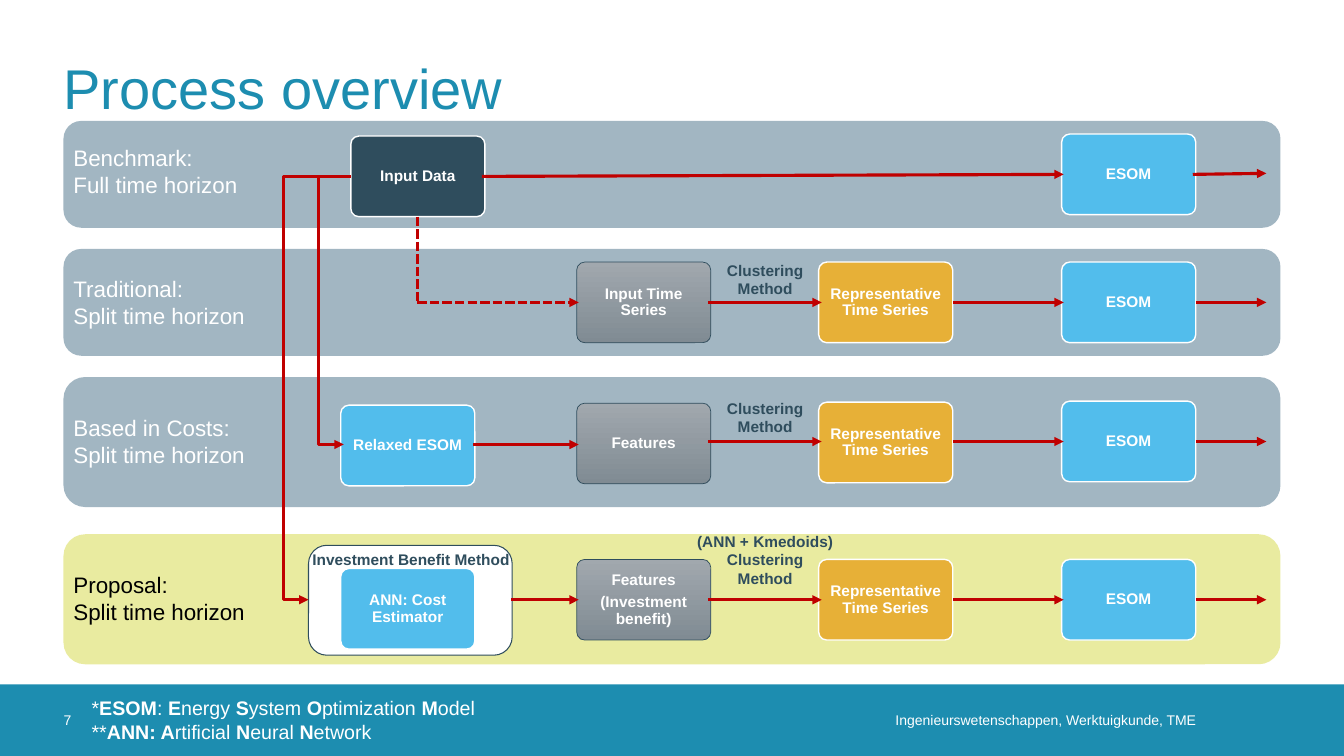
from lxml import etree
from pptx import Presentation
from pptx.dml.color import RGBColor
from pptx.enum.dml import MSO_LINE
from pptx.enum.shapes import MSO_CONNECTOR, MSO_SHAPE
from pptx.enum.text import MSO_ANCHOR, PP_ALIGN
from pptx.oxml.ns import qn
from pptx.util import Inches, Pt

RECTANGLE, ROUNDED = MSO_SHAPE.RECTANGLE, MSO_SHAPE.ROUNDED_RECTANGLE
STRAIGHT, ELBOW = MSO_CONNECTOR.STRAIGHT, MSO_CONNECTOR.ELBOW
TOP, MIDDLE = MSO_ANCHOR.TOP, MSO_ANCHOR.MIDDLE
LEFT, CENTER, RIGHT = PP_ALIGN.LEFT, PP_ALIGN.CENTER, PP_ALIGN.RIGHT
SHORT_DASH = MSO_LINE.SQUARE_DOT

WHITE = RGBColor(0xFF, 0xFF, 0xFF)
BLACK = RGBColor(0x00, 0x00, 0x00)
TEAL = RGBColor(0x1D, 0x8D, 0xB0)
SLATE = RGBColor(0x46, 0x6E, 0x87)
LIME = RGBColor(0xD4, 0xD8, 0x42)
SKY = RGBColor(0x52, 0xBD, 0xEC)
NAVY = RGBColor(0x2F, 0x4D, 0x5D)
AMBER = RGBColor(0xE7, 0xB0, 0x37)
GREY_TOP = RGBColor(0xA1, 0xA8, 0xAE)
GREY_BOTTOM = RGBColor(0x80, 0x8B, 0x93)
RED = RGBColor(0xC0, 0x00, 0x00)


def write(shape, lines, size, color, bold=False, align=LEFT, insets=(0.1, 0.05, 0.1, 0.05),
          wrap=True, anchor=TOP, spacing=None):
    """Fill a shape with paragraphs; text between bars is bold."""
    frame = shape.text_frame
    left, top, right, bottom = map(Inches, insets)
    frame_format = {"word_wrap": wrap, "vertical_anchor": anchor, "margin_left": left,
                    "margin_top": top, "margin_right": right, "margin_bottom": bottom}
    for name, value in frame_format.items():
        setattr(frame, name, value)
    for index, line in enumerate(lines):
        para = frame.add_paragraph() if index else frame.paragraphs[0]
        for name, value in {"alignment": align, **(spacing or {})}.items():
            setattr(para, name, value)
        for part, words in enumerate(line.split("|")):
            span = para.add_run()
            span.text = words
            span.font.color.rgb = color
            font_format = {"name": "Arial", "size": Pt(size), "bold": bold or part % 2 == 1}
            for name, value in font_format.items():
                setattr(span.font, name, value)


def connect(start, end, bend_x=None, dash=None, arrow=True):
    """Draw a red connector, bent at bend_x when that is given."""
    kind = STRAIGHT if bend_x is None else ELBOW
    link = page.shapes.add_connector(kind, *map(Inches, (*start, *end)))
    link.line.color.rgb = RED
    link.line.width = Pt(2.25)
    if dash:
        link.line.dash_style = dash
    properties = link._element.spPr
    if bend_x is not None:
        ratio = (bend_x - start[0]) / (end[0] - start[0])
        guides = properties.find(qn("a:prstGeom")).get_or_add_avLst()
        etree.SubElement(guides, qn("a:gd"), name="adj1", fmla=f"val {round(ratio * 100000)}")
    if arrow:
        etree.SubElement(link.line._get_or_add_ln(), qn("a:tailEnd"), type="triangle")
    etree.SubElement(properties, qn("a:effectLst"))


deck = Presentation()
deck.slide_width, deck.slide_height = Inches(13.33), Inches(7.5)
page = deck.slides.add_slide(deck.slide_layouts[6])

# Footer bar, row bands and frame of the benefit method
panels = [
    (RECTANGLE, (0, 6.79, 13.33, 0.71), TEAL, None),
    (ROUNDED, (0.63, 1.2, 12.07, 1.06), SLATE, 50),
    (ROUNDED, (0.63, 2.47, 12.07, 1.06), SLATE, 50),
    (ROUNDED, (0.63, 3.74, 12.07, 1.29), SLATE, 50),
    (ROUNDED, (0.63, 5.3, 12.07, 1.29), LIME, 50),
    (ROUNDED, (3.06, 5.41, 2.02, 1.09), WHITE, None),
]
for kind, place, color, opacity in panels:
    panel = page.shapes.add_shape(kind, *map(Inches, place))
    panel.shadow.inherit = False
    panel.fill.solid()
    panel.fill.fore_color.rgb = color
    if opacity:
        tint = panel._element.spPr.find(".//" + qn("a:srgbClr"))
        etree.SubElement(tint, qn("a:alpha"), val=str(opacity * 1000))
    if color == WHITE:
        panel.line.color.rgb = NAVY
        panel.line.width = Pt(0.75)
    else:
        panel.line.fill.background()

# Process steps, all of one size; None stands for the grey gradient
FEATURE_X, SERIES_X, MODEL_X = 5.72, 8.12, 10.53
steps = [
    (3.48, 1.35, NAVY, ["Input Data"]),
    (3.38, 4.02, SKY, ["Relaxed ESOM"]),
    (3.38, 5.64, SKY, ["ANN: Cost Estimator"]),
    (FEATURE_X, 2.6, None, ["Input Time Series"]),
    (FEATURE_X, 4, None, ["Features"]),
    (FEATURE_X, 5.55, None, ["Features", "(Investment benefit)"]),
]
steps += [(SERIES_X, top, AMBER, ["Representative Time Series"]) for top in (2.6, 3.99, 5.55)]
steps += [(MODEL_X, top, SKY, ["ESOM"]) for top in (1.33, 2.6, 3.98, 5.55)]
for left, top, color, lines in steps:
    step = page.shapes.add_shape(ROUNDED, *map(Inches, (left, top, 1.33, 0.8)))
    step.adjustments[0] = 0.1
    step.shadow.inherit = False
    if color is None:
        step.fill.gradient()
        step.fill.gradient_angle = 270
        for stop, shade in zip(step.fill.gradient_stops, (GREY_TOP, GREY_BOTTOM)):
            stop.color.rgb = shade
    else:
        step.fill.solid()
        step.fill.fore_color.rgb = color
    step.line.color.rgb = WHITE if color else NAVY
    step.line.width = Pt(1 if color else 0.5)
    write(step, lines, 11, WHITE, bold=True, align=CENTER, insets=(0.05,) * 4, anchor=MIDDLE,
          spacing={"line_spacing": 0.9, "space_after": Pt(3.85)})

# Arrows shared by the three clustering rows
for y in (3, 4.38, 5.95):
    for start_x, end_x in ((7.02, 8.15), (9.45, 10.55), (11.86, 12.56)):
        connect((start_x, y), (end_x, y))

# Arrows of single rows
connect((4.78, 1.75), (10.55, 1.73))
connect((11.83, 1.73), (12.56, 1.72))
connect((4.69, 4.41), (5.74, 4.41))
connect((5.07, 5.95), (5.74, 5.95))

# Arrows from the input data to the lower rows
connect((4.14, 2.15), (4.14, 3), dash=SHORT_DASH, arrow=False)
connect((4.14, 3), (5.74, 3), dash=SHORT_DASH)
connect((3.48, 1.75), (3.41, 4.41), bend_x=3.16)
connect((3.48, 1.75), (3.06, 5.95), bend_x=2.81)

# Title, row names, captions and footer
row_name = {"size": 16, "color": WHITE, "wrap": False}
caption = {"size": 11, "color": NAVY, "bold": True, "align": CENTER, "wrap": False}
footer = {"size": 10, "color": WHITE, "anchor": MIDDLE}
no_insets = (0, 0, 0, 0)
split = "Split time horizon"
clustering = ["Clustering", "Method"]
texts = [
    ((0.63, 0.23, 12.07, 1.26), ["Process overview"],
     {"size": 40, "color": TEAL, "anchor": MIDDLE, "insets": no_insets}),
    ((0.63, 1.38, 1.85, 0.64), ["Benchmark:", "Full time horizon"], row_name),
    ((0.63, 2.68, 1.92, 0.64), ["Traditional:", split], row_name),
    ((0.63, 4.06, 1.92, 0.64), ["Based in Costs:", split], row_name),
    ((0.63, 5.62, 1.92, 0.64), ["Proposal:", split], {**row_name, "color": BLACK}),
    ((3, 5.41, 2.17, 0.29), ["Investment Benefit Method"], {**caption, "align": LEFT}),
    ((7.11, 2.54, 0.96, 0.47), clustering, caption),
    ((7.11, 3.91, 0.96, 0.47), clustering, caption),
    ((6.81, 5.23, 1.56, 0.66), ["(ANN + Kmedoids)", *clustering], caption),
    ((0.63, 6.79, 0.71, 0.71), ["7"], {**footer, "insets": no_insets}),
    ((0.81, 6.86, 6.67, 0.57),
     ["*|ESOM|: |E|nergy |S|ystem |O|ptimization |M|odel",
      "**|ANN: A|rtificial |N|eural |N|etwork"], {"size": 14, "color": WHITE}),
    ((6.6, 6.79, 5.46, 0.71), ["Ingenieurswetenschappen, Werktuigkunde, TME"],
     {**footer, "align": RIGHT, "insets": (0, 0, 0.2, 0)}),
]
for place, lines, style in texts:
    box = page.shapes.add_textbox(*map(Inches, place))
    write(box, lines, **style)

deck.save("out.pptx")
